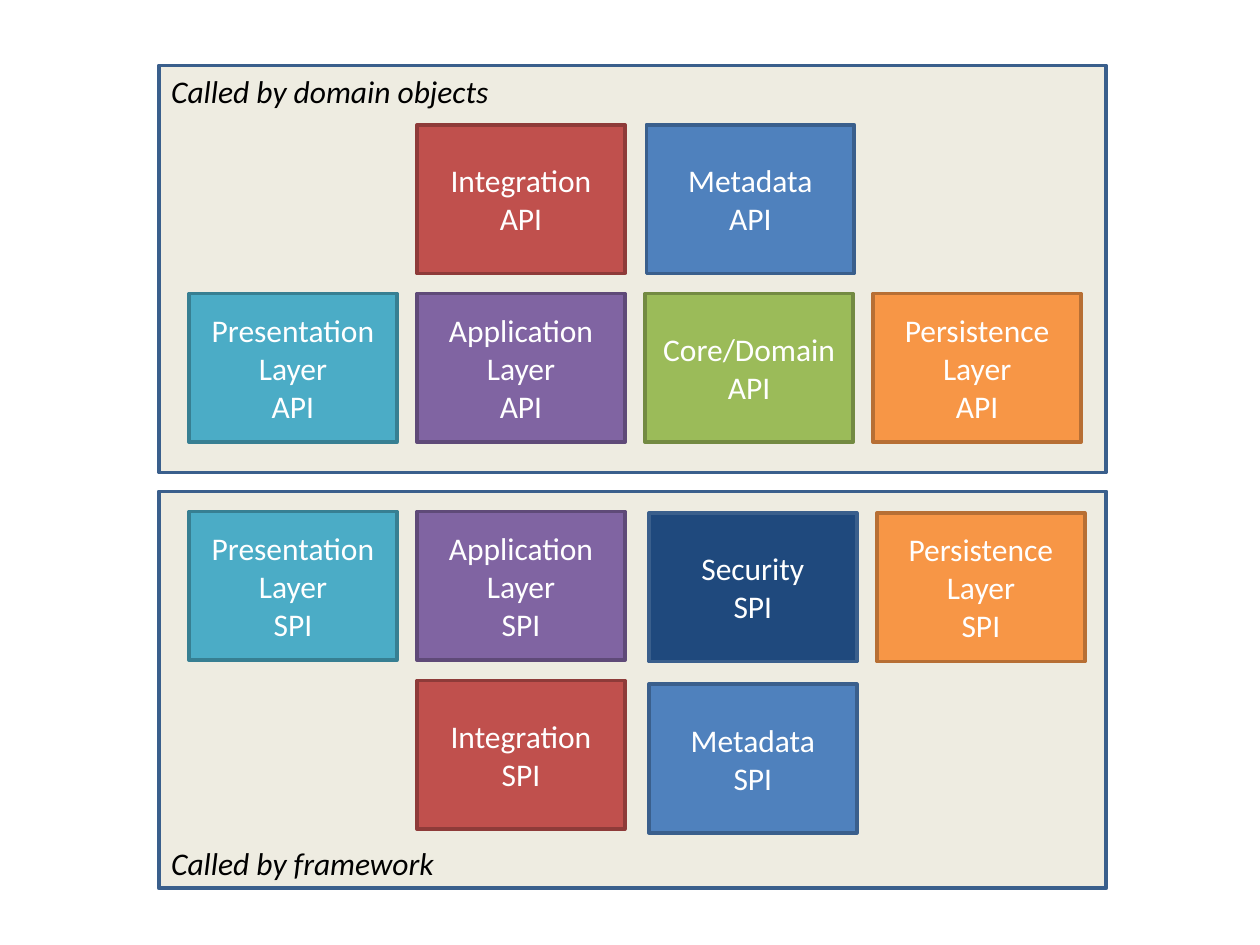
from pptx import Presentation
from pptx.dml.color import RGBColor
from pptx.enum.shapes import MSO_SHAPE
from pptx.enum.text import MSO_ANCHOR, PP_ALIGN
from pptx.util import Inches, Pt

BLACK = RGBColor(0x00, 0x00, 0x00)
WHITE = RGBColor(0xFF, 0xFF, 0xFF)
CREAM = RGBColor(0xEE, 0xEC, 0xE1)
NAVY = RGBColor(0x1F, 0x49, 0x7D)
BLUE, BLUE_EDGE = RGBColor(0x4F, 0x81, 0xBD), RGBColor(0x3A, 0x5F, 0x8C)
RED, RED_EDGE = RGBColor(0xC0, 0x50, 0x4D), RGBColor(0x8E, 0x3B, 0x39)
TEAL, TEAL_EDGE = RGBColor(0x4B, 0xAC, 0xC6), RGBColor(0x37, 0x7F, 0x92)
PURPLE, PURPLE_EDGE = RGBColor(0x80, 0x64, 0xA2), RGBColor(0x5F, 0x4A, 0x78)
GREEN, GREEN_EDGE = RGBColor(0x9B, 0xBB, 0x59), RGBColor(0x73, 0x8A, 0x42)
ORANGE, ORANGE_EDGE = RGBColor(0xF7, 0x96, 0x46), RGBColor(0xB7, 0x6F, 0x34)

prs = Presentation()
prs.slide_width, prs.slide_height = Inches(10), Inches(7.5)
slide = prs.slides.add_slide(prs.slide_layouts[6])


def add_box(bounds, text, fill, edge, color, anchor, align, italic=False):
    """Add an outlined rectangle with 18 pt text; bounds are in inches."""
    box = slide.shapes.add_shape(MSO_SHAPE.RECTANGLE, *map(Inches, bounds))
    box.shadow.inherit = False
    box.fill.solid()
    box.fill.fore_color.rgb = fill
    box.line.color.rgb = edge
    box.line.width = Pt(2)
    frame = box.text_frame
    frame.word_wrap = True
    frame.vertical_anchor = anchor
    frame.text = text
    for paragraph in frame.paragraphs:
        paragraph.alignment = align
        paragraph.font.name = "Calibri"
        paragraph.font.size = Pt(18)
        paragraph.font.italic = italic
        paragraph.font.color.rgb = color


# Callers: caption, top, height, caption anchor
callers = [
    ("Called by framework", 3.9, 3.15, MSO_ANCHOR.BOTTOM),
    ("Called by domain objects", 0.52, 3.23, MSO_ANCHOR.TOP),
]
for caption, top, height, anchor in callers:
    add_box((1.26, top, 7.52, height), caption, CREAM, BLUE_EDGE, BLACK,
            anchor, PP_ALIGN.LEFT, italic=True)

# Modules: a \v breaks the line inside a paragraph
COLUMNS = [1.5 + 1.81 * i for i in range(4)]
API_ROWS = (0.99, 2.33)
SPI_ROWS = (4.06, 5.4)
modules = [
    (COLUMNS[1], API_ROWS[0], "Integration\vAPI", RED, RED_EDGE),
    (5.13, API_ROWS[0], "Metadata\vAPI", BLUE, BLUE_EDGE),
    (COLUMNS[0], API_ROWS[1], "Presentation\vLayer\nAPI", TEAL, TEAL_EDGE),
    (COLUMNS[1], API_ROWS[1], "Application\vLayer\nAPI", PURPLE, PURPLE_EDGE),
    (COLUMNS[2], API_ROWS[1], "Core/Domain\nAPI", GREEN, GREEN_EDGE),
    (COLUMNS[3], API_ROWS[1], "Persistence\vLayer\nAPI", ORANGE, ORANGE_EDGE),
    (COLUMNS[0], SPI_ROWS[0], "Presentation\vLayer\nSPI", TEAL, TEAL_EDGE),
    (COLUMNS[1], SPI_ROWS[0], "Application\vLayer\nSPI", PURPLE, PURPLE_EDGE),
    (5.15, 4.07, "Security\vSPI", NAVY, BLUE_EDGE),
    (6.96, 4.07, "Persistence\vLayer\nSPI", ORANGE, ORANGE_EDGE),
    (COLUMNS[1], SPI_ROWS[1], "Integration\vSPI", RED, RED_EDGE),
    (5.15, 5.43, "Metadata\vSPI", BLUE, BLUE_EDGE),
]
for left, top, label, fill, edge in modules:
    add_box((left, top, 1.65, 1.18), label, fill, edge, WHITE,
            MSO_ANCHOR.MIDDLE, PP_ALIGN.CENTER)

prs.save("out.pptx")
